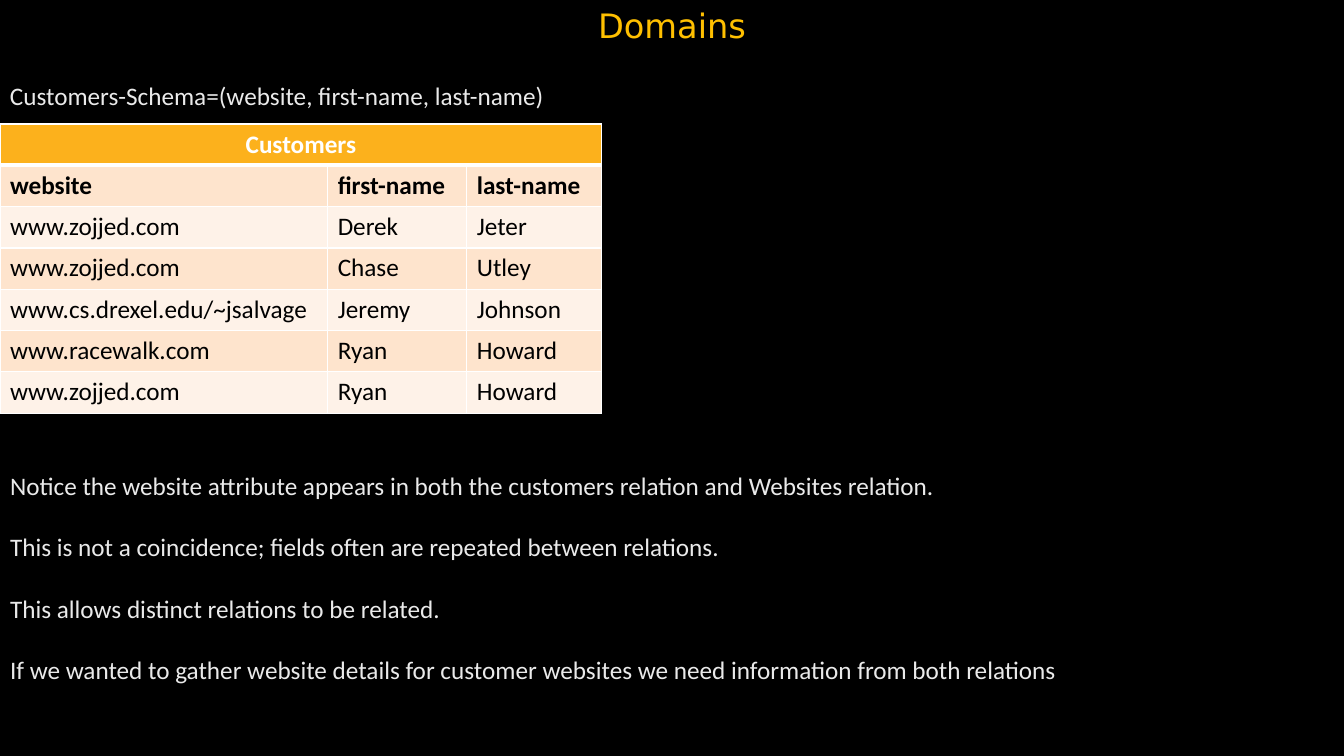
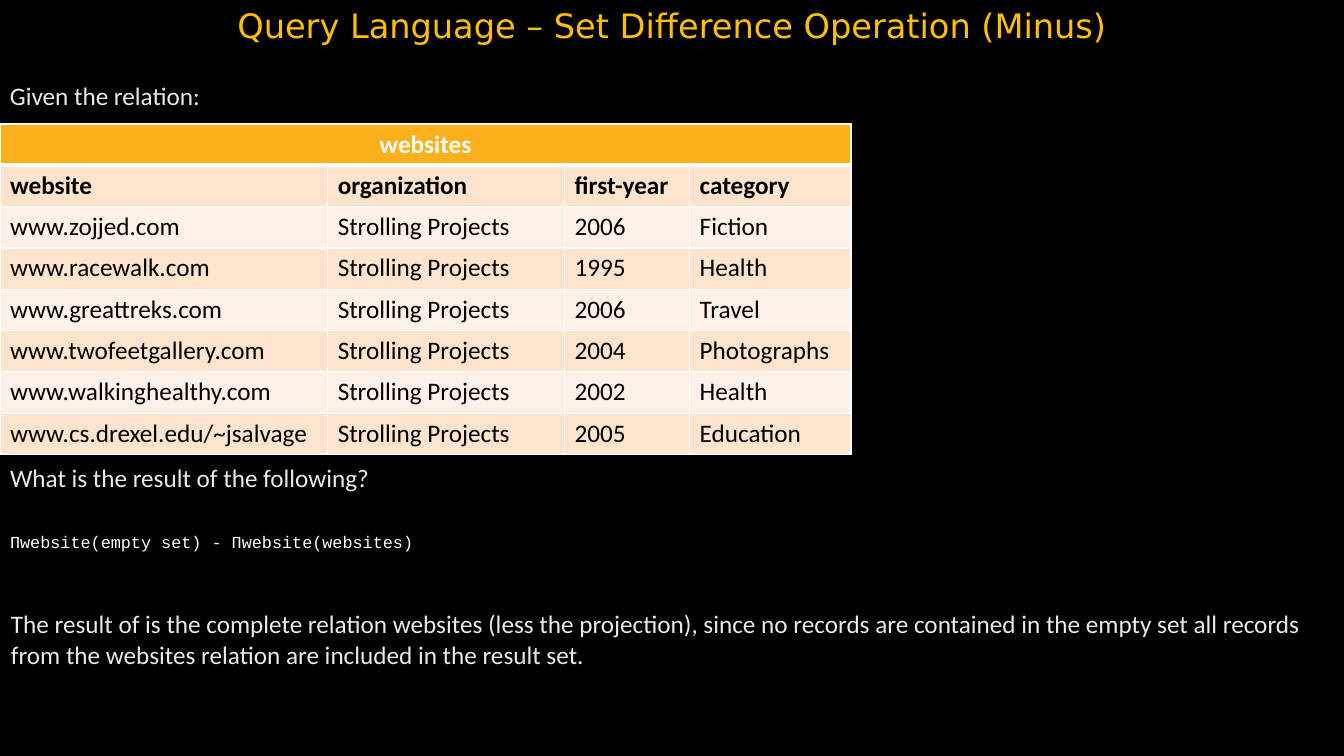
from typing import NamedTuple

from lxml.etree import SubElement
from pptx import Presentation
from pptx.dml.color import RGBColor
from pptx.enum.text import MSO_ANCHOR, MSO_AUTO_SIZE, PP_ALIGN
from pptx.oxml.ns import qn
from pptx.util import Inches, Pt

WIDE, HIGH = 13.33, 7.5
BLACK, WHITE, PALE = "000000", "FFFFFF", "EAEAEA"
GOLD, HEAD = "FFC000", "FCB11C"
BANDS = ("FEE4CD", "FEF2E8")
ROW = 0.41
TABLE_TOP = 1.23
ORG = "Strolling Projects"


class Style(NamedTuple):
    font: str
    size: float
    color: str
    bold: bool = False


class Line(NamedTuple):
    text: str
    gap: float = 0
    style: Style = Style("Calibri", 18, PALE)


class Box(NamedTuple):
    left: float
    top: float
    width: float
    height: float


class Grid(NamedTuple):
    name: str
    widths: tuple[float, ...]
    rows: list[tuple[str, ...]]


TITLE = Style("DejaVu Sans", 24, GOLD)
CODE = Style("Courier New", 12, WHITE)
CELL = Style("Calibri", 18, BLACK)
INTRO = Box(0, 0.75, WIDE, 0.45)

CUSTOMERS = Grid("Customers", (3.25, 1.38, 1.34), [
    ("website", "first-name", "last-name"),
    ("www.zojjed.com", "Derek", "Jeter"),
    ("www.zojjed.com", "Chase", "Utley"),
    ("www.cs.drexel.edu/~jsalvage", "Jeremy", "Johnson"),
    ("www.racewalk.com", "Ryan", "Howard"),
    ("www.zojjed.com", "Ryan", "Howard"),
])
WEBSITES = Grid("websites", (3.25, 2.35, 1.24, 1.6), [
    ("website", "organization", "first-year", "category"),
    ("www.zojjed.com", ORG, "2006", "Fiction"),
    ("www.racewalk.com", ORG, "1995", "Health"),
    ("www.greattreks.com", ORG, "2006", "Travel"),
    ("www.twofeetgallery.com", ORG, "2004", "Photographs"),
    ("www.walkinghealthy.com", ORG, "2002", "Health"),
    ("www.cs.drexel.edu/~jsalvage", ORG, "2005", "Education"),
])
NOTES = [
    Line("Notice the website attribute appears in both the customers relation "
         "and Websites relation."),
    Line("This is not a coincidence; fields often are repeated between "
         "relations.", 22),
    Line("This allows distinct relations to be related.", 22),
    Line("If we wanted to gather website details for customer websites we "
         "need information from both relations", 22),
]
QUERY = [
    Line("What is the result of the following?"),
    Line("Πwebsite(empty set) - Πwebsite(websites)", 28, CODE),
]
RESULT = [
    Line("The result of is the complete relation websites (less the "
         "projection), since no records are contained in the empty set all "
         "records from the websites relation are included in the result set."),
]


def rgb(color: str) -> RGBColor:
    return RGBColor.from_string(color)


def format_runs(para, style: Style) -> None:
    for run in para.runs:
        font = run.font
        font.name, font.size, font.bold = style.font, Pt(style.size), style.bold
        font.color.rgb = rgb(style.color)


def place(shape, box: Box) -> None:
    shape.left, shape.top, shape.width, shape.height = map(Inches, box)


def write(shape, lines: list[Line]) -> None:
    """Fill a text shape with unbulleted, left-aligned lines."""
    frame = shape.text_frame
    frame.word_wrap = True
    frame.auto_size = MSO_AUTO_SIZE.NONE
    frame.vertical_anchor = MSO_ANCHOR.TOP
    frame.text = "\n".join(line.text for line in lines)
    for para, line in zip(frame.paragraphs, lines):
        props = para._p.get_or_add_pPr()
        props.set("marL", "0")
        props.set("indent", "0")
        SubElement(props, qn("a:buNone"))
        para.alignment = PP_ALIGN.LEFT
        para.space_before = Pt(line.gap)
        format_runs(para, line.style)


def add_text(slide, box: Box, lines: list[Line]) -> None:
    write(slide.shapes.add_textbox(*map(Inches, box)), lines)


def set_body(slide, box: Box, lines: list[Line]) -> None:
    body = slide.placeholders[1]
    place(body, box)
    write(body, lines)


def set_title(slide, text: str) -> None:
    title = slide.shapes.title
    place(title, Box(0, 0, WIDE, 0.5))
    frame = title.text_frame
    frame.text = text
    frame.auto_size = MSO_AUTO_SIZE.NONE
    frame.vertical_anchor = MSO_ANCHOR.BOTTOM
    para = frame.paragraphs[0]
    para.alignment = PP_ALIGN.CENTER
    format_runs(para, TITLE)


def set_edges(cell, top: float, bottom: float) -> None:
    """Draw white borders; this must come before the cell fill."""
    props = cell._tc.get_or_add_tcPr()
    for side, width in (("L", 1), ("R", 1), ("T", top), ("B", bottom)):
        edge = SubElement(props, qn(f"a:ln{side}"), w=str(Pt(width)))
        fill = SubElement(edge, qn("a:solidFill"))
        SubElement(fill, qn("a:srgbClr"), val=WHITE)


def add_grid(slide, grid: Grid) -> None:
    """Add a table with a merged name row above its column heads."""
    count, cols = len(grid.rows) + 1, len(grid.widths)
    box = Box(0, TABLE_TOP, sum(grid.widths), ROW * count)
    table = slide.shapes.add_table(count, cols, *map(Inches, box)).table
    table.first_row = table.horz_banding = False
    for col, width in zip(table.columns, grid.widths):
        col.width = Inches(width)
    for row in table.rows:
        row.height = Inches(ROW)
    table.cell(0, 0).merge(table.cell(0, cols - 1))

    names = (grid.name,) + ("",) * (cols - 1)
    for r, texts in enumerate([names, *grid.rows]):
        style = CELL._replace(color=BLACK if r else WHITE, bold=r < 2)
        for c, text in enumerate(texts):
            cell = table.cell(r, c)
            set_edges(cell, 3 if r == 1 else 1, 1 if r else 3)
            cell.fill.solid()
            cell.fill.fore_color.rgb = rgb(BANDS[(r - 1) % 2] if r else HEAD)
            if text:
                cell.text_frame.text = text
                para = cell.text_frame.paragraphs[0]
                para.alignment = PP_ALIGN.LEFT if r else PP_ALIGN.CENTER
                format_runs(para, style)


def add_page(deck, title: str, intro: str, grid: Grid):
    """Add a slide with a title, a lead line and a table."""
    slide = deck.slides.add_slide(deck.slide_layouts[1])
    set_title(slide, title)
    add_text(slide, INTRO, [Line(intro)])
    add_grid(slide, grid)
    return slide


def main() -> None:
    deck = Presentation()
    deck.slide_width, deck.slide_height = Inches(WIDE), Inches(HIGH)
    back = deck.slide_master.background.fill
    back.solid()
    back.fore_color.rgb = rgb(BLACK)

    page = add_page(deck, "Domains",
                    "Customers-Schema=(website, first-name, last-name)",
                    CUSTOMERS)
    set_body(page, Box(0, 4.62, WIDE, 2.52), NOTES)

    page = add_page(deck, "Query Language – Set Difference Operation (Minus)",
                    "Given the relation:", WEBSITES)
    set_body(page, Box(0, 4.54, WIDE, 1.22), QUERY)
    add_text(page, Box(0.01, 5.99, 13.32, 0.75), RESULT)

    deck.save("out.pptx")


if __name__ == "__main__":
    main()
